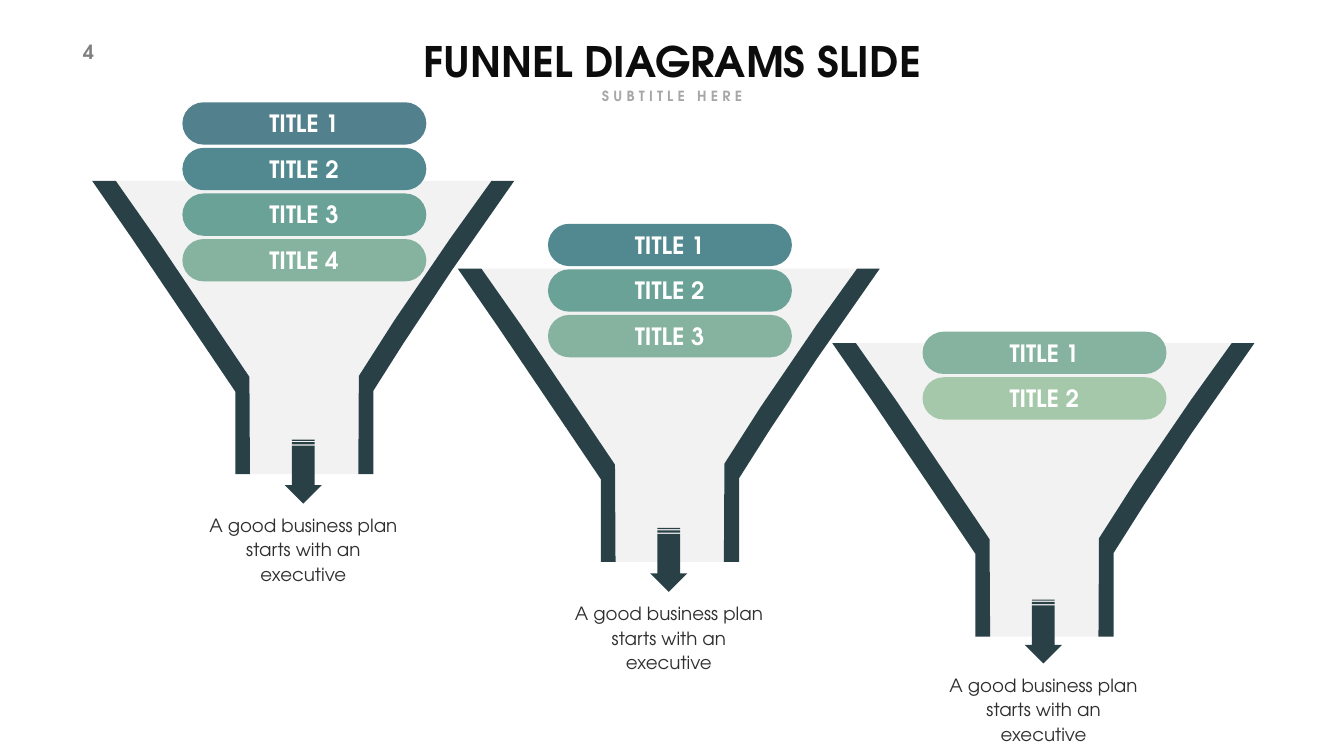
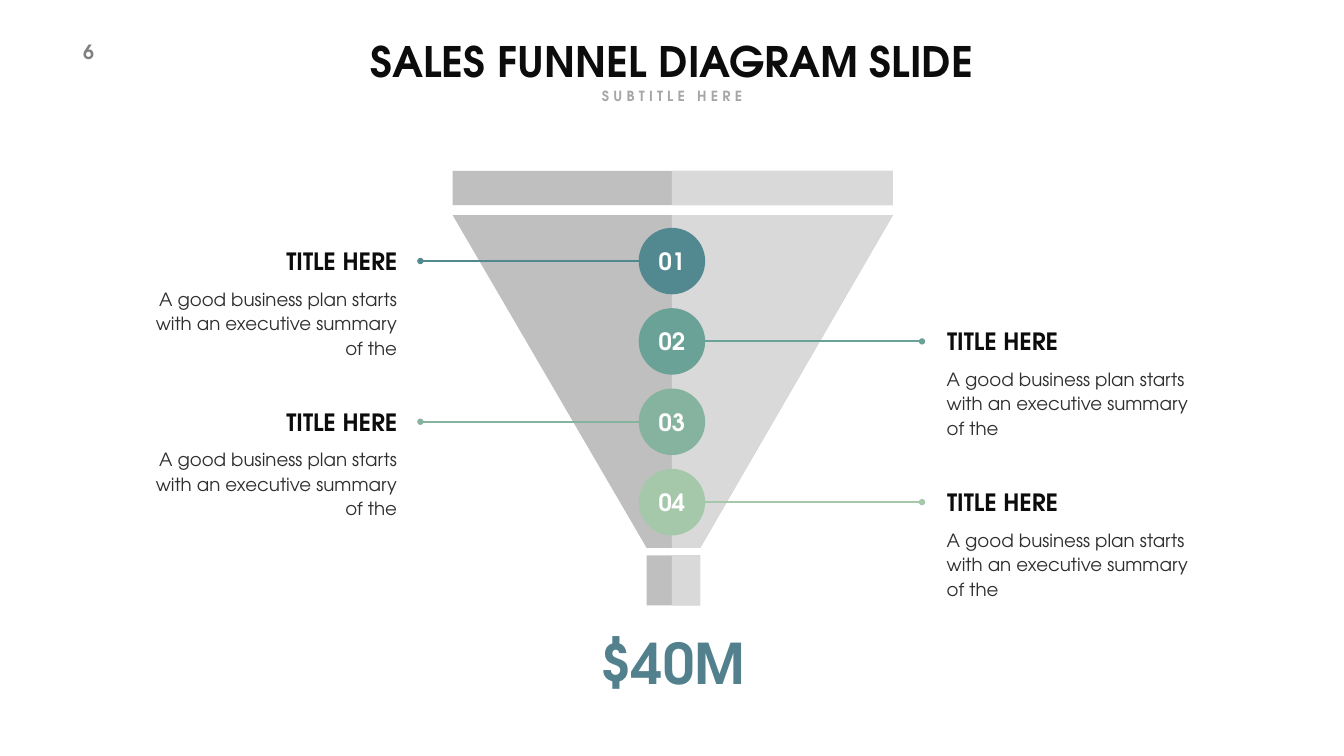
import pptx
import pptx.util
import pptx.dml.color
import pptx.enum.shapes
import pptx.enum.text
from lxml import etree
from pptx.oxml.ns import qn

RGBColor = pptx.dml.color.RGBColor
SHAPE = pptx.enum.shapes.MSO_SHAPE
ALIGN = pptx.enum.text.PP_ALIGN
ANCHOR = pptx.enum.text.MSO_ANCHOR

# All lengths below are percentages of the slide's width or height.
WIDTH = pptx.util.Inches(26.66)
HEIGHT = pptx.util.Inches(15)

FONT = "TeX Gyre Adventor"
INK = RGBColor(0x0C, 0x0C, 0x0C)
BODY_INK = RGBColor(0x2F, 0x2F, 0x2F)
WHITE = RGBColor(0xFF, 0xFF, 0xFF)
NUMBER_GREY = RGBColor(0x80, 0x80, 0x80)
SUBTITLE_GREY = RGBColor(0xA6, 0xA6, 0xA6)
SHADE_GREY = RGBColor(0xBF, 0xBF, 0xBF)
LIGHT_GREY = RGBColor(0xD9, 0xD9, 0xD9)
CUP_GREY = RGBColor(0xF2, 0xF2, 0xF2)
DARK_TEAL = RGBColor(0x29, 0x40, 0x46)
STEPS = [
    RGBColor(0x52, 0x80, 0x8D),
    RGBColor(0x52, 0x89, 0x90),
    RGBColor(0x6B, 0xA2, 0x97),
    RGBColor(0x85, 0xB3, 0x9F),
    RGBColor(0xA4, 0xC8, 0xA9),
]

TITLE_FONT = {"size": pptx.util.Pt(60), "bold": True}
SUBTITLE_FONT = {"size": pptx.util.Pt(20), "bold": True}
NUMBER_FONT = {"size": pptx.util.Pt(28), "bold": True}
LABEL_FONT = {"size": pptx.util.Pt(34), "bold": True}
BODY_FONT = {"size": pptx.util.Pt(26), "bold": False}
TOTAL_FONT = {"size": pptx.util.Pt(80), "bold": True}
BODY_FRAME = {
    "word_wrap": True,
    "margin_left": pptx.util.Inches(0.24),
    "margin_right": pptx.util.Inches(0.24),
    "margin_top": pptx.util.Inches(0.12),
    "margin_bottom": pptx.util.Inches(0.12),
}
BODY_PARAGRAPH = {
    "line_spacing": pptx.util.Pt(35),
    "space_before": pptx.util.Pt(5.2),
}

# Inner edges run down from the rim to the foot of the spout.
RIGHT_INNER = [(29.71, 0), (26.67, 7.53), (22.51, 18.37), (19.84, 25.8), (19.8, 38.8)]
RIGHT_OUTER = [(31.4, 0), (26.74, 11.87), (23.14, 21.53), (20.93, 27.73), (20.93, 38.8)]
LEFT_INNER = [(1.76, 0), (4.73, 7.53), (11.7, 25.93), (11.74, 38.8)]
LEFT_OUTER = [(0, 0), (2.93, 7.53), (10.65, 27.87), (10.65, 38.8)]

PILL_PITCH = 6.03
LABEL_HEIGHT = 4.47
CAPTION_HEIGHT = 8.07


def across(share):
    return round(WIDTH * share / 100)


def down(share):
    return round(HEIGHT * share / 100)


def box(left, top, width, height):
    return across(left), down(top), across(width), down(height)


def apply(target, values):
    for attribute, value in values.items():
        setattr(target, attribute, value)


def paint(shape, color):
    shape.shadow.inherit = False
    shape.fill.solid()
    shape.fill.fore_color.rgb = color
    shape.line.fill.background()


def add_preset(slide, kind, place, color):
    shape = slide.shapes.add_shape(kind, *box(*place))
    paint(shape, color)
    return shape


def add_outline(slide, points, color, left=0, top=0):
    corners = [(across(left + x), down(top + y)) for x, y in points]
    builder = slide.shapes.build_freeform(*corners[0])
    builder.add_line_segments(corners[1:], close=True)
    paint(builder.convert_to_shape(), color)


def write(holder, words, font, color, align=ALIGN.CENTER, anchor=ANCHOR.TOP,
          frame_format=None, paragraph_format=None, tracking=0):
    frame = holder.text_frame
    apply(frame, {
        "word_wrap": False,
        "vertical_anchor": anchor,
        "auto_size": pptx.enum.text.MSO_AUTO_SIZE.SHAPE_TO_FIT_TEXT,
        **(frame_format or {}),
    })
    paragraph = frame.paragraphs[0]
    apply(paragraph, {"alignment": align, **(paragraph_format or {})})
    run = paragraph.add_run()
    run.text = words
    apply(run.font, {"name": FONT, **font})
    run.font.color.rgb = color
    if tracking:
        run._r.get_or_add_rPr().set("spc", str(tracking * 100))


def add_text(slide, place, words, font, color, **options):
    write(slide.shapes.add_textbox(*box(*place)), words, font, color, **options)


def add_label(slide, place, words, color=WHITE, align=ALIGN.CENTER):
    add_text(slide, place, words, LABEL_FONT, color, align=align, anchor=ANCHOR.MIDDLE)


def add_body(slide, place, words, align):
    add_text(slide, place, words, BODY_FONT, BODY_INK, align=align,
             frame_format=BODY_FRAME, paragraph_format=BODY_PARAGRAPH)


def add_titled_slide(deck, number, title, title_width):
    slide = deck.slides.add_slide(deck.slide_layouts[5])
    heading = slide.shapes.title
    place = box(50 - title_width / 2, 4.4, title_width, 7.4)
    apply(heading, dict(zip(("left", "top", "width", "height"), place)))
    write(heading, title, TITLE_FONT, INK)
    add_text(slide, (43.61, 11.27, 12.79, 2.93), "SUBTITLE HERE",
             SUBTITLE_FONT, SUBTITLE_GREY, tracking=6)
    add_text(slide, (5.81, 4.93, 3, 3.8), number, NUMBER_FONT, NUMBER_GREY,
             align=ALIGN.LEFT, tracking=3)
    return slide


def add_funnel(slide, left, top, pills_top, arrow_top, pill_colors):
    add_outline(slide, LEFT_INNER + RIGHT_INNER[::-1], CUP_GREY, left, top)
    for inner, outer in ((RIGHT_INNER, RIGHT_OUTER), (LEFT_INNER, LEFT_OUTER)):
        add_outline(slide, inner + outer[::-1], DARK_TEAL, left, top)

    for index, color in enumerate(pill_colors):
        pill_top = pills_top + index * PILL_PITCH
        pill = add_preset(slide, SHAPE.ROUNDED_RECTANGLE,
                          (left + 6.71, pill_top, 18.15, 5.6), color)
        pill.adjustments[0] = 0.5
        add_label(slide, (left + 12.19, pill_top + 0.53, 7.16, LABEL_HEIGHT),
                  f"TITLE {index + 1}")

    arrow = add_preset(slide, SHAPE.STRIPED_RIGHT_ARROW,
                       (left + 13.32, arrow_top, 4.76, 4.93), DARK_TEAL)
    arrow.rotation = 90
    arrow.adjustments[0] = 0.61
    add_body(slide, (left + 7.54, arrow_top + 6.93, 16.35, CAPTION_HEIGHT),
             "A good business plan starts with an executive", ALIGN.CENTER)


def add_split_funnel(slide):
    """A funnel with a darker left half and a lighter right half."""
    rim_left, rim_right, tip_left, tip_right = 33.68, 66.43, 48.11, 52.1
    for color, rim, tip in ((SHADE_GREY, rim_left, tip_left), (LIGHT_GREY, 50, 50)):
        add_preset(slide, SHAPE.RECTANGLE, (rim, 22.6, rim_right - rim, 4.53), color)
        add_outline(slide, [(rim, 28.47), (rim_right, 28.47),
                            (tip_right, 72.47), (tip, 72.47)], color)
        add_preset(slide, SHAPE.RECTANGLE, (tip, 73.47, tip_right - tip, 6.6), color)


def add_leader(slide, start, end, middle, color, dotted_end):
    """A level line with a dot at its 'headEnd' or 'tailEnd'."""
    leader = slide.shapes.add_connector(
        pptx.enum.shapes.MSO_CONNECTOR.STRAIGHT,
        across(start), down(middle), across(end), down(middle))
    leader.line.width = pptx.util.Pt(3)
    leader.line.color.rgb = color
    etree.SubElement(leader.line._get_or_add_ln(), qn("a:" + dotted_end), type="oval")
    etree.SubElement(leader._element.spPr, qn("a:effectLst"))


def add_stage(slide, index, color):
    """A numbered circle with its leader and text, left and right in turn."""
    middle = 34.53 + index * 10.63
    label_top = middle - LABEL_HEIGHT / 2
    if index % 2 == 0:
        leader, dotted_end = (31.28, 47.71), "headEnd"
        heading_left, body_left, align = 19.09, 9.26, ALIGN.RIGHT
    else:
        leader, dotted_end = (52.18, 68.6), "tailEnd"
        heading_left, body_left, align = 70.11, 69.54, ALIGN.LEFT
    add_leader(slide, *leader, middle, color, dotted_end)
    add_preset(slide, SHAPE.OVAL, (47.52, middle - 4.4, 4.95, 8.8), color)
    add_label(slide, (48.54, label_top, 2.89, LABEL_HEIGHT), f"{index + 1:02d}")
    add_label(slide, (heading_left, label_top, 10.84, LABEL_HEIGHT),
              "TITLE HERE", INK, align)
    add_body(slide, (body_left, middle + 2.4, 21.19, CAPTION_HEIGHT),
             "A good business plan starts with an executive summary of the", align)


def main():
    deck = pptx.Presentation()
    deck.slide_width, deck.slide_height = WIDTH, HEIGHT

    funnels = add_titled_slide(deck, "4", "FUNNEL DIAGRAMS SLIDE", 41.41)
    add_funnel(funnels, 6.86, 23.93, 13.53, 59.93, STEPS[:4])
    add_funnel(funnels, 34.06, 35.53, 29.6, 71.6, STEPS[1:4])
    add_funnel(funnels, 61.93, 45.4, 43.87, 81.07, STEPS[3:])

    sales = add_titled_slide(deck, "6", "SALES FUNNEL DIAGRAM SLIDE", 50.38)
    add_split_funnel(sales)
    for index, color in enumerate(STEPS[1:]):
        add_stage(sales, index, color)
    add_text(sales, (44.11, 82.73, 11.89, 9.67), "$40M", TOTAL_FONT, STEPS[0],
             anchor=ANCHOR.MIDDLE)

    deck.save("out.pptx")


if __name__ == "__main__":
    main()
